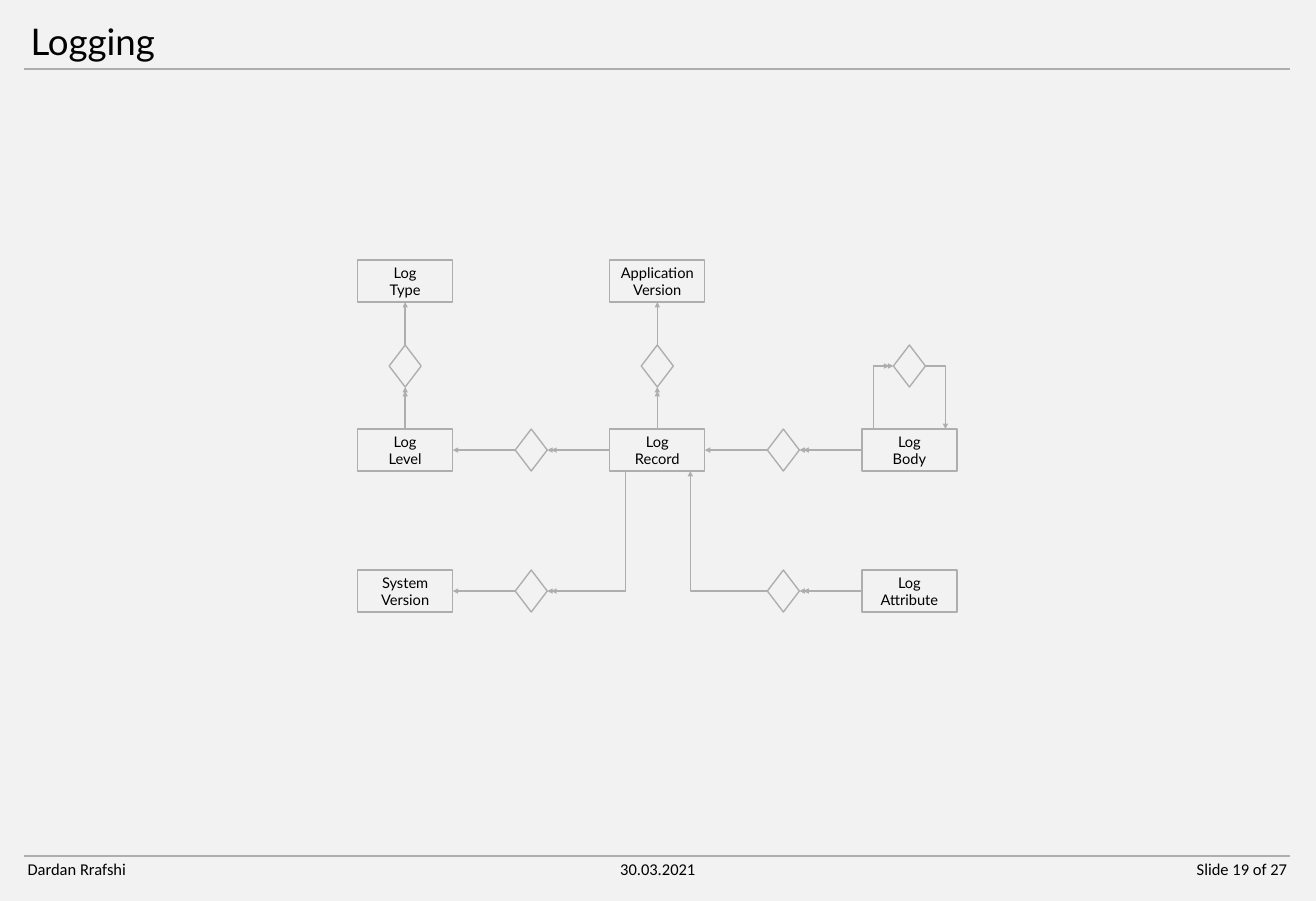
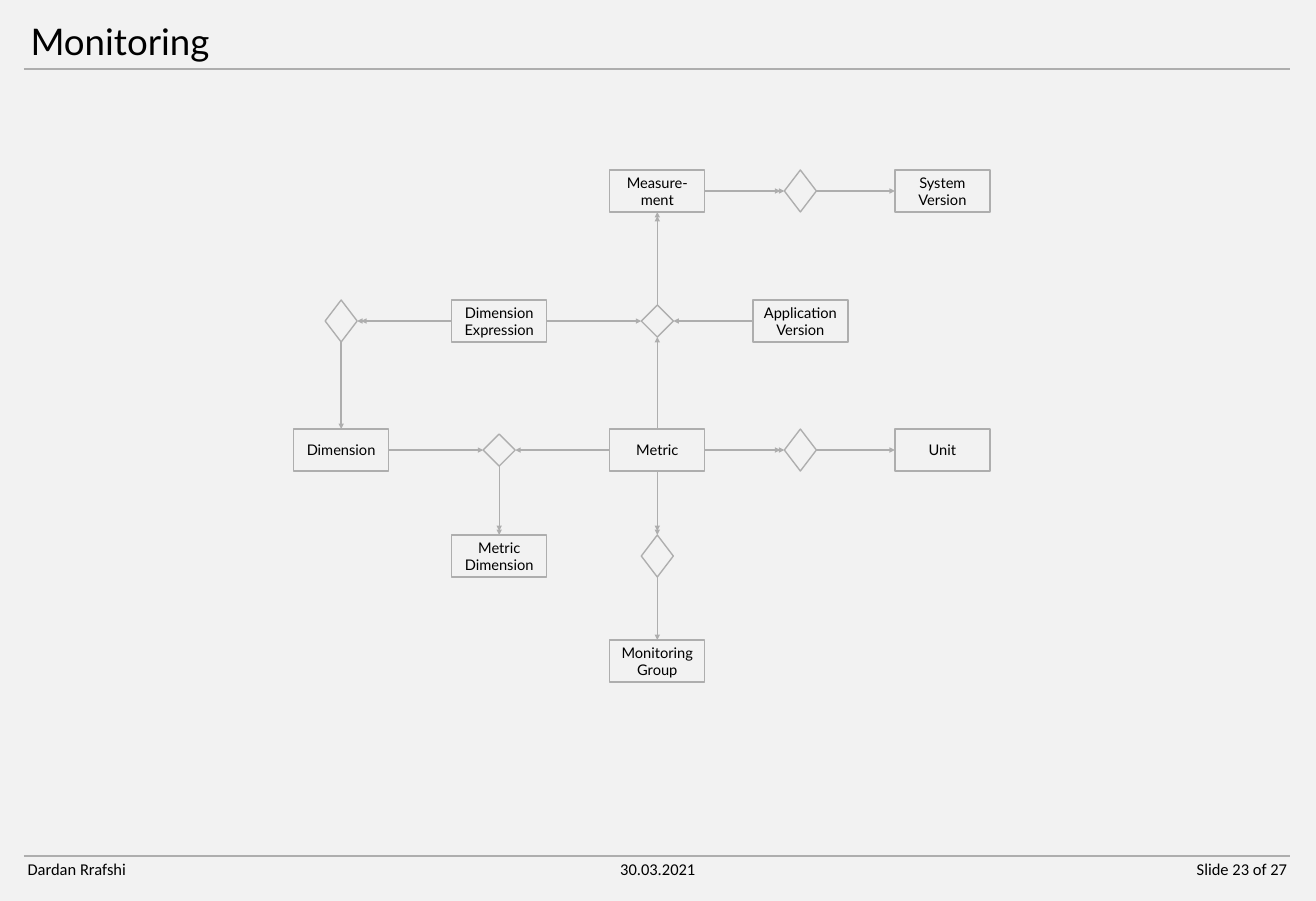
from dataclasses import dataclass
from enum import Enum

from lxml.etree import SubElement
from pptx import Presentation
from pptx.dml.color import RGBColor
from pptx.enum.shapes import MSO_CONNECTOR, MSO_SHAPE
from pptx.enum.text import MSO_ANCHOR, PP_ALIGN
from pptx.oxml.ns import qn
from pptx.shapes.autoshape import Shape
from pptx.shapes.connector import Connector
from pptx.slide import Slide
from pptx.util import Inches, Pt

EMU_PER_PIXEL = 914400 / 66
SLIDE_WIDTH, SLIDE_HEIGHT = Inches(19.93), Inches(13.65)
MARGIN_LEFT, MARGIN_RIGHT = 24, 1289
TITLE_TOP, TITLE_RULE, FOOTER_RULE = 21, 69, 856
FOOTER_WIDTH, FOOTER_HEIGHT = 117, 26
DOUBLE_HEAD_GAP = 4
AUTHOR, TALK_DATE, SLIDE_TOTAL = "Dardan Rrafshi", "30.03.2021", 27


@dataclass(frozen=True)
class Theme:
    background: RGBColor = RGBColor(0xF2, 0xF2, 0xF2)
    line: RGBColor = RGBColor(0xAE, 0xAE, 0xAE)
    text: RGBColor = RGBColor(0, 0, 0)
    heading_font: str = "Lato"
    footer_font: str = "Calibri"
    title_size: float = 40
    entity_size: float = 16
    footer_size: float = 18
    rule_width: float = 2.25
    diagram_width: float = 1.5


THEME = Theme()


class Side(Enum):
    TOP = (0, 0, -1)
    LEFT = (1, -1, 0)
    BOTTOM = (2, 0, 1)
    RIGHT = (3, 1, 0)


@dataclass(frozen=True)
class Node:
    x: int
    y: int
    label: str = ""
    width: int = 95
    height: int = 42
    outline: MSO_SHAPE = MSO_SHAPE.RECTANGLE

    def point(self, side: Side, shift: int = 0, gap: int = 0) -> tuple[float, float]:
        _, across, down = side.value
        return (
            self.x + across * (self.width / 2 + gap) + shift,
            self.y + down * (self.height / 2 + gap),
        )


@dataclass(frozen=True)
class Arrow:
    start: Node
    leaving: Side
    end: Node
    entering: Side
    double: bool = False
    start_shift: int = 0
    end_shift: int = 0

    @property
    def bent(self) -> bool:
        return bool(self.start_shift or self.end_shift)


@dataclass(frozen=True)
class Diagram:
    title: str
    number: int
    nodes: list[Node]
    arrows: list[Arrow]


def relation(x: int, y: int, height: int = 42) -> Node:
    return Node(x, y, width=32, height=height, outline=MSO_SHAPE.DIAMOND)


def emu(pixels: float) -> int:
    return round(pixels * EMU_PER_PIXEL)


def write(shape: Shape, text: str, *, font: str, size: float,
          align: PP_ALIGN = PP_ALIGN.LEFT, anchor: MSO_ANCHOR = MSO_ANCHOR.TOP,
          spacing: float = 1.0) -> None:
    frame = shape.text_frame
    frame.word_wrap = True
    frame.vertical_anchor = anchor
    frame.text = text
    for paragraph in frame.paragraphs:
        paragraph.alignment = align
        paragraph.line_spacing = spacing
        for run in paragraph.runs:
            run.font.name = font
            run.font.size = Pt(size)
            run.font.color.rgb = THEME.text


def add_text(slide: Slide, left: int, top: int, width: int, height: int,
             text: str, **text_format) -> None:
    area = slide.shapes.add_textbox(emu(left), emu(top), emu(width), emu(height))
    write(area, text, **text_format)


def add_line(slide: Slide, start: tuple[float, float], end: tuple[float, float],
             width: float, kind: MSO_CONNECTOR = MSO_CONNECTOR.STRAIGHT) -> Connector:
    line = slide.shapes.add_connector(kind, *map(emu, start + end))
    line.line.color.rgb = THEME.line
    line.line.width = Pt(width)
    SubElement(line.element.spPr, qn("a:effectLst"))
    return line


def add_node(slide: Slide, node: Node) -> Shape:
    shape = slide.shapes.add_shape(
        node.outline, emu(node.x - node.width / 2), emu(node.y - node.height / 2),
        emu(node.width), emu(node.height))
    shape.shadow.inherit = False
    shape.fill.background()
    shape.line.color.rgb = THEME.line
    shape.line.width = Pt(THEME.diagram_width)
    if node.label:
        write(shape, node.label, font=THEME.heading_font, size=THEME.entity_size,
              align=PP_ALIGN.CENTER, anchor=MSO_ANCHOR.MIDDLE)
    return shape


def add_bend(slide: Slide, start: tuple[float, float], end: tuple[float, float],
             vertical_first: bool) -> Connector:
    if vertical_first:
        middle_x, middle_y = (start[0] + end[0]) / 2, (start[1] + end[1]) / 2
        half_x, half_y = (end[0] - start[0]) / 2, (end[1] - start[1]) / 2
        start = (middle_x - half_y, middle_y + half_x)
        end = (middle_x + half_y, middle_y - half_x)
    bend = add_line(slide, start, end, THEME.diagram_width, MSO_CONNECTOR.ELBOW)
    properties = bend.element.spPr
    properties.find(qn("a:prstGeom")).set("prst", "bentConnector2")
    if vertical_first:
        properties.find(qn("a:xfrm")).set("rot", "5400000")
    return bend


def add_arrow(slide: Slide, arrow: Arrow, shapes: dict[Node, Shape]) -> None:
    start = arrow.start.point(arrow.leaving, arrow.start_shift)
    for gap in (0, DOUBLE_HEAD_GAP) if arrow.double else (0,):
        end = arrow.end.point(arrow.entering, arrow.end_shift, gap)
        if arrow.bent:
            line = add_bend(slide, start, end, arrow.leaving in (Side.TOP, Side.BOTTOM))
        else:
            line = add_line(slide, start, end, THEME.diagram_width)
            line.begin_connect(shapes[arrow.start], arrow.leaving.value[0])
            if not gap:
                line.end_connect(shapes[arrow.end], arrow.entering.value[0])
        outline = line.element.spPr.find(qn("a:ln"))
        SubElement(outline, qn("a:tailEnd"), type="triangle")


def add_frame(slide: Slide, title: str, number: int) -> None:
    add_text(slide, MARGIN_LEFT, TITLE_TOP, MARGIN_RIGHT - MARGIN_LEFT,
             TITLE_RULE - TITLE_TOP, title, font=THEME.heading_font,
             size=THEME.title_size, spacing=0.9)
    for rule in (TITLE_RULE, FOOTER_RULE):
        add_line(slide, (MARGIN_LEFT, rule), (MARGIN_RIGHT, rule), THEME.rule_width)
    for left, text, align in (
        (21, AUTHOR, PP_ALIGN.LEFT),
        (599, TALK_DATE, PP_ALIGN.CENTER),
        (1176, f"Slide {number} of {SLIDE_TOTAL}", PP_ALIGN.RIGHT),
    ):
        add_text(slide, left, FOOTER_RULE, FOOTER_WIDTH, FOOTER_HEIGHT, text,
                 font=THEME.footer_font, size=THEME.footer_size, align=align)


def logging_diagram() -> Diagram:
    left, left_gap, center, right_gap, right = range(405, 910, 126)
    top, upper, middle, bottom = 281, 366, 450, 591
    log_type = Node(left, top, "Log\nType")
    application = Node(center, top, "Application\nVersion")
    level = Node(left, middle, "Log\nLevel")
    record = Node(center, middle, "Log\nRecord")
    body = Node(right, middle, "Log\nBody")
    system = Node(left, bottom, "System\nVersion")
    attribute = Node(right, bottom, "Log\nAttribute")
    level_type = relation(left, upper)
    record_application = relation(center, upper)
    body_parent = relation(right, upper)
    record_level = relation(left_gap, middle)
    body_record = relation(right_gap, middle)
    record_system = relation(left_gap, bottom)
    attribute_record = relation(right_gap, bottom)
    arrows = [
        Arrow(level, Side.TOP, level_type, Side.BOTTOM, double=True),
        Arrow(level_type, Side.TOP, log_type, Side.BOTTOM),
        Arrow(record, Side.TOP, record_application, Side.BOTTOM, double=True),
        Arrow(record_application, Side.TOP, application, Side.BOTTOM),
        Arrow(record, Side.LEFT, record_level, Side.RIGHT, double=True),
        Arrow(record_level, Side.LEFT, level, Side.RIGHT),
        Arrow(body, Side.LEFT, body_record, Side.RIGHT, double=True),
        Arrow(body_record, Side.LEFT, record, Side.RIGHT),
        Arrow(body, Side.TOP, body_parent, Side.LEFT, double=True, start_shift=-36),
        Arrow(body_parent, Side.RIGHT, body, Side.TOP, end_shift=36),
        Arrow(record, Side.BOTTOM, record_system, Side.RIGHT, double=True, start_shift=-32),
        Arrow(record_system, Side.LEFT, system, Side.RIGHT),
        Arrow(attribute, Side.LEFT, attribute_record, Side.RIGHT, double=True),
        Arrow(attribute_record, Side.LEFT, record, Side.BOTTOM, end_shift=33),
    ]
    nodes = [log_type, application, level, record, body, system, attribute,
             level_type, record_application, body_parent, record_level,
             body_record, record_system, attribute_record]
    return Diagram("Logging", 19, nodes, arrows)


def monitoring_diagram() -> Diagram:
    far_left, left, center, right, far_right = 341, 499, 657, 800, 942
    top, upper, middle, lower, bottom = 191, 321, 450, 556, 661
    measurement = Node(center, top, "Measure-ment")
    system = Node(far_right, top, "System\nVersion")
    expression = Node(left, upper, "Dimension\nExpression")
    application = Node(right, upper, "Application\nVersion")
    dimension = Node(far_left, middle, "Dimension")
    metric = Node(center, middle, "Metric")
    unit = Node(far_right, middle, "Unit")
    metric_dimension = Node(left, lower, "Metric\nDimension")
    group = Node(center, bottom, "Monitoring\nGroup")
    measurement_system = relation(right, top)
    expression_dimension = relation(far_left, upper)
    measuring = relation(center, upper, height=32)
    dimensioning = relation(left, middle, height=32)
    metric_unit = relation(right, middle)
    metric_group = relation(center, lower)
    arrows = [
        Arrow(measurement, Side.RIGHT, measurement_system, Side.LEFT, double=True),
        Arrow(measurement_system, Side.RIGHT, system, Side.LEFT),
        Arrow(expression, Side.LEFT, expression_dimension, Side.RIGHT, double=True),
        Arrow(expression_dimension, Side.BOTTOM, dimension, Side.TOP),
        Arrow(expression, Side.RIGHT, measuring, Side.LEFT),
        Arrow(application, Side.LEFT, measuring, Side.RIGHT),
        Arrow(metric, Side.TOP, measuring, Side.BOTTOM),
        Arrow(measuring, Side.TOP, measurement, Side.BOTTOM, double=True),
        Arrow(dimension, Side.RIGHT, dimensioning, Side.LEFT),
        Arrow(metric, Side.LEFT, dimensioning, Side.RIGHT),
        Arrow(dimensioning, Side.BOTTOM, metric_dimension, Side.TOP, double=True),
        Arrow(metric, Side.RIGHT, metric_unit, Side.LEFT, double=True),
        Arrow(metric_unit, Side.RIGHT, unit, Side.LEFT),
        Arrow(metric, Side.BOTTOM, metric_group, Side.TOP, double=True),
        Arrow(metric_group, Side.BOTTOM, group, Side.TOP),
    ]
    nodes = [measurement, system, expression, application, dimension, metric,
             unit, metric_dimension, group, measurement_system,
             expression_dimension, measuring, dimensioning, metric_unit, metric_group]
    return Diagram("Monitoring", 23, nodes, arrows)


def main() -> None:
    deck = Presentation()
    deck.slide_width, deck.slide_height = SLIDE_WIDTH, SLIDE_HEIGHT
    backdrop = deck.slide_master.background.fill
    backdrop.solid()
    backdrop.fore_color.rgb = THEME.background
    for diagram in (logging_diagram(), monitoring_diagram()):
        slide = deck.slides.add_slide(deck.slide_layouts[6])
        add_frame(slide, diagram.title, diagram.number)
        shapes = {node: add_node(slide, node) for node in diagram.nodes}
        for arrow in diagram.arrows:
            add_arrow(slide, arrow, shapes)
    deck.save("out.pptx")


main()
